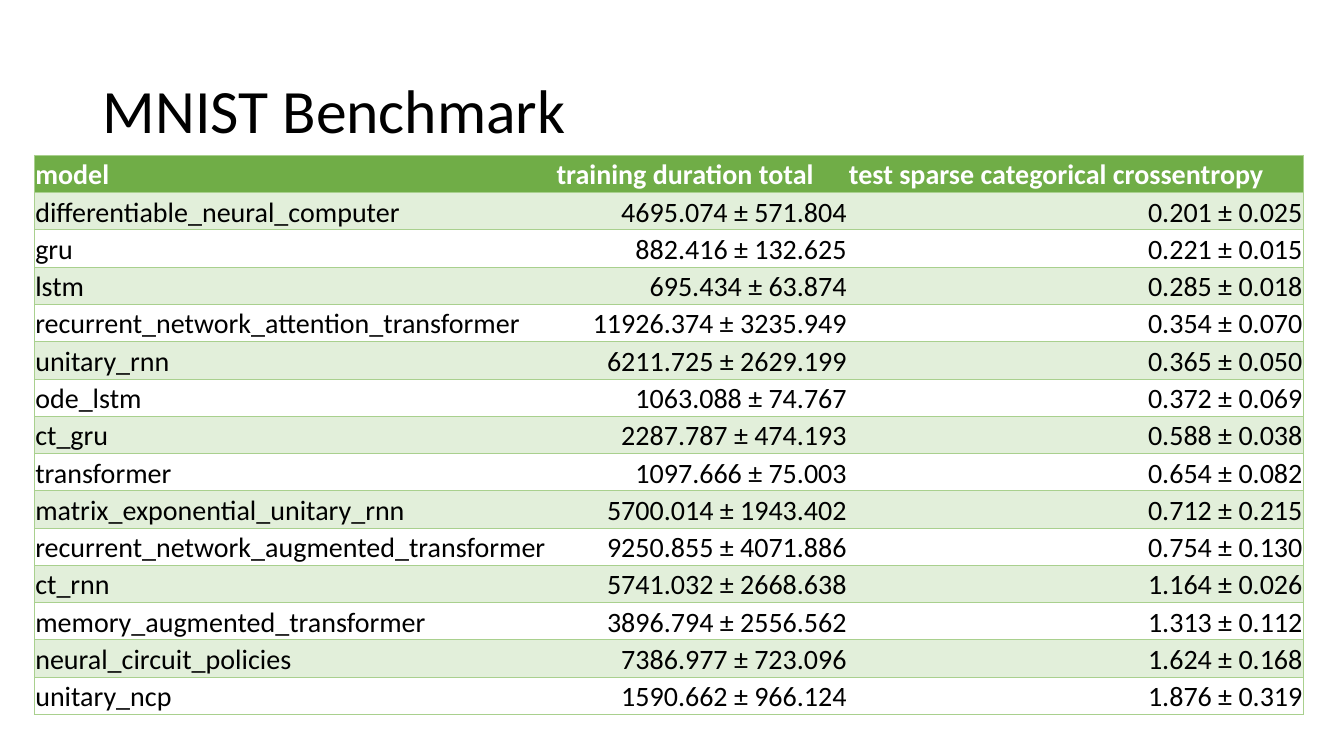
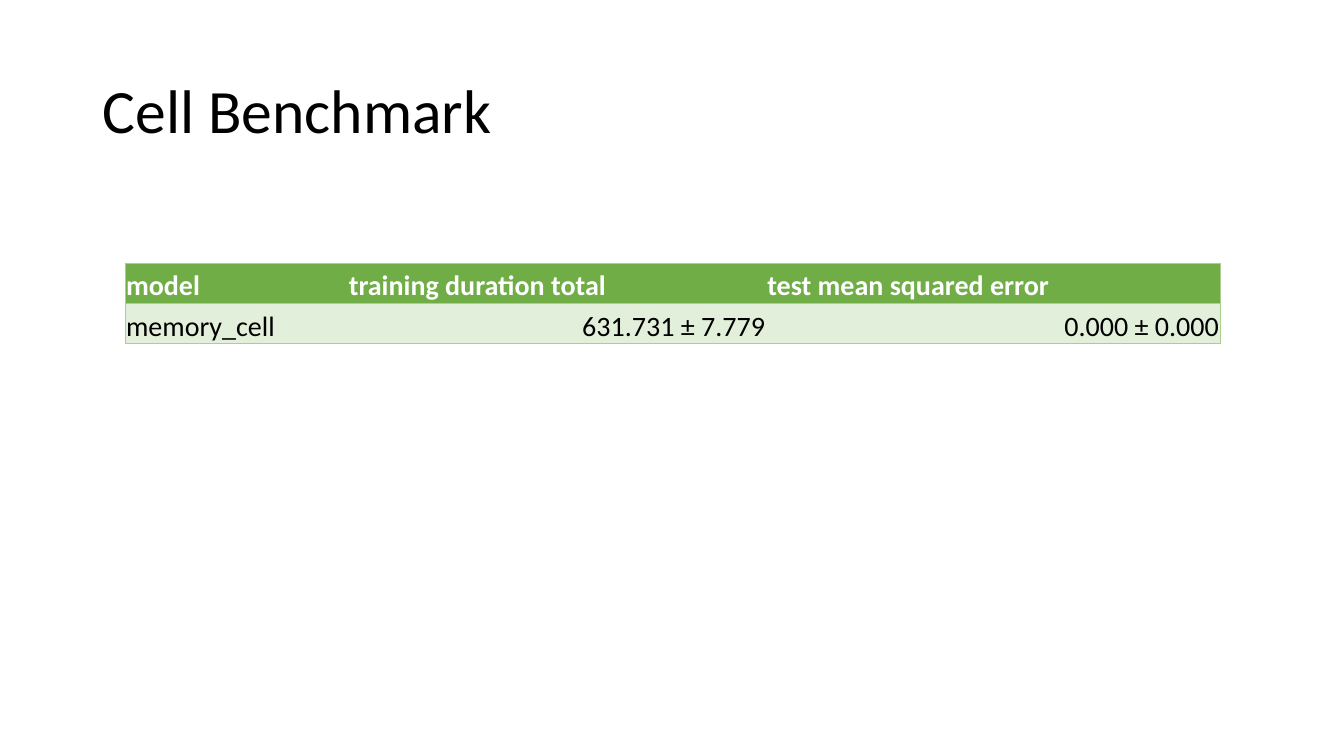
from dataclasses import dataclass

from lxml import etree
from pptx import Presentation
from pptx.dml.color import RGBColor
from pptx.enum.text import MSO_ANCHOR, MSO_AUTO_SIZE, PP_ALIGN
from pptx.oxml.ns import qn
from pptx.util import Inches, Pt

LEFT, RIGHT = PP_ALIGN.LEFT, PP_ALIGN.RIGHT
MIDDLE, BOTTOM = MSO_ANCHOR.MIDDLE, MSO_ANCHOR.BOTTOM
NO_AUTOFIT = MSO_AUTO_SIZE.NONE

BLACK = RGBColor(0x00, 0x00, 0x00)
WHITE = RGBColor(0xFF, 0xFF, 0xFF)
GREEN = RGBColor(0x70, 0xAD, 0x47)
PALE_GREEN = RGBColor(0xE2, 0xEF, 0xDA)
RULE_GREEN = RGBColor(0xA9, 0xD0, 0x8E)

FONT = "Calibri"
TITLE_BOX = (0.92, 0.4, 11.5, 1.45)
TITLE_ONLY = 5
PLAIN_TABLE_STYLE = "{2D5ABB26-0587-4C30-8999-92F81FD0307C}"
CELL_INSET = 0.01
RULE_WIDTH = Pt(0.5)


@dataclass(frozen=True)
class Benchmark:
    title: str
    left: float
    top: float
    col_widths: tuple[float, ...]
    row_height: float
    metric: str
    results: tuple[tuple[str, str, str], ...]

    @property
    def rows(self) -> tuple[tuple[str, str, str], ...]:
        return (("model", "training duration total", self.metric), *self.results)


BENCHMARKS = (
    Benchmark(
        "MNIST Benchmark", 0.34, 1.54, (5.17, 2.9, 4.52), 0.37,
        "test sparse categorical crossentropy",
        (
            ("differentiable_neural_computer", "4695.074 ± 571.804", "0.201 ± 0.025"),
            ("gru", "882.416 ± 132.625", "0.221 ± 0.015"),
            ("lstm", "695.434 ± 63.874", "0.285 ± 0.018"),
            ("recurrent_network_attention_transformer",
             "11926.374 ± 3235.949", "0.354 ± 0.070"),
            ("unitary_rnn", "6211.725 ± 2629.199", "0.365 ± 0.050"),
            ("ode_lstm", "1063.088 ± 74.767", "0.372 ± 0.069"),
            ("ct_gru", "2287.787 ± 474.193", "0.588 ± 0.038"),
            ("transformer", "1097.666 ± 75.003", "0.654 ± 0.082"),
            ("matrix_exponential_unitary_rnn", "5700.014 ± 1943.402", "0.712 ± 0.215"),
            ("recurrent_network_augmented_transformer",
             "9250.855 ± 4071.886", "0.754 ± 0.130"),
            ("ct_rnn", "5741.032 ± 2668.638", "1.164 ± 0.026"),
            ("memory_augmented_transformer", "3896.794 ± 2556.562", "1.313 ± 0.112"),
            ("neural_circuit_policies", "7386.977 ± 723.096", "1.624 ± 0.168"),
            ("unitary_ncp", "1590.662 ± 966.124", "1.876 ± 0.319"),
        ),
    ),
    Benchmark(
        "Cell Benchmark", 1.24, 2.61, (2.21, 4.15, 4.5), 0.4,
        "test mean squared error",
        (("memory_cell", "631.731 ± 7.779", "0.000 ± 0.000"),),
    ),
)


def add_title(s, text: str) -> None:
    title = s.shapes.title
    title.left, title.top, title.width, title.height = map(Inches, TITLE_BOX)
    tf = title.text_frame
    tf.text = text
    tf.auto_size = NO_AUTOFIT
    tf.vertical_anchor = MIDDLE
    p = tf.paragraphs[0]
    p.alignment = LEFT
    p.line_spacing = 0.9
    p.font.name, p.font.size, p.font.color.rgb = FONT, Pt(44), BLACK


def add_borders(cell, sides: str) -> None:
    """Rule the given sides, named in schema order: L, R, T, B."""
    tc_pr = cell._tc.get_or_add_tcPr()
    for side in sides:
        ln = etree.SubElement(tc_pr, qn(f"a:ln{side}"), w=str(RULE_WIDTH))
        fill = etree.SubElement(ln, qn("a:solidFill"))
        etree.SubElement(fill, qn("a:srgbClr"), val=str(RULE_GREEN))


def format_cell(cell, text: str, row: int, col: int, last_col: int) -> None:
    header = row == 0
    cell.text = text
    cell.vertical_anchor = BOTTOM
    cell.margin_left = cell.margin_right = cell.margin_top = Inches(CELL_INSET)
    cell.margin_bottom = 0
    add_borders(cell, {0: "LTB", last_col: "RTB"}.get(col, "TB"))
    if header or row % 2:
        cell.fill.solid()
        cell.fill.fore_color.rgb = GREEN if header else PALE_GREEN
    else:
        cell.fill.background()
    p = cell.text_frame.paragraphs[0]
    p.alignment = LEFT if header or col == 0 else RIGHT
    p.font.name, p.font.size, p.font.bold = FONT, Pt(20), header
    p.font.color.rgb = WHITE if header else BLACK


def add_results_table(s, bench: Benchmark) -> None:
    rows, widths = bench.rows, bench.col_widths
    frame = s.shapes.add_table(
        len(rows), len(widths), Inches(bench.left), Inches(bench.top),
        Inches(sum(widths)), Inches(bench.row_height * len(rows)))
    table = frame.table
    table._tbl.tblPr.find(qn("a:tableStyleId")).text = PLAIN_TABLE_STYLE
    for column, width in zip(table.columns, widths):
        column.width = Inches(width)
    for r, values in enumerate(rows):
        for c, text in enumerate(values):
            format_cell(table.cell(r, c), text, r, c, len(widths) - 1)


def main() -> None:
    prs = Presentation()
    prs.slide_width, prs.slide_height = Inches(13.33), Inches(7.5)
    for bench in BENCHMARKS:
        s = prs.slides.add_slide(prs.slide_layouts[TITLE_ONLY])
        add_title(s, bench.title)
        add_results_table(s, bench)
    prs.save("out.pptx")


if __name__ == "__main__":
    main()
